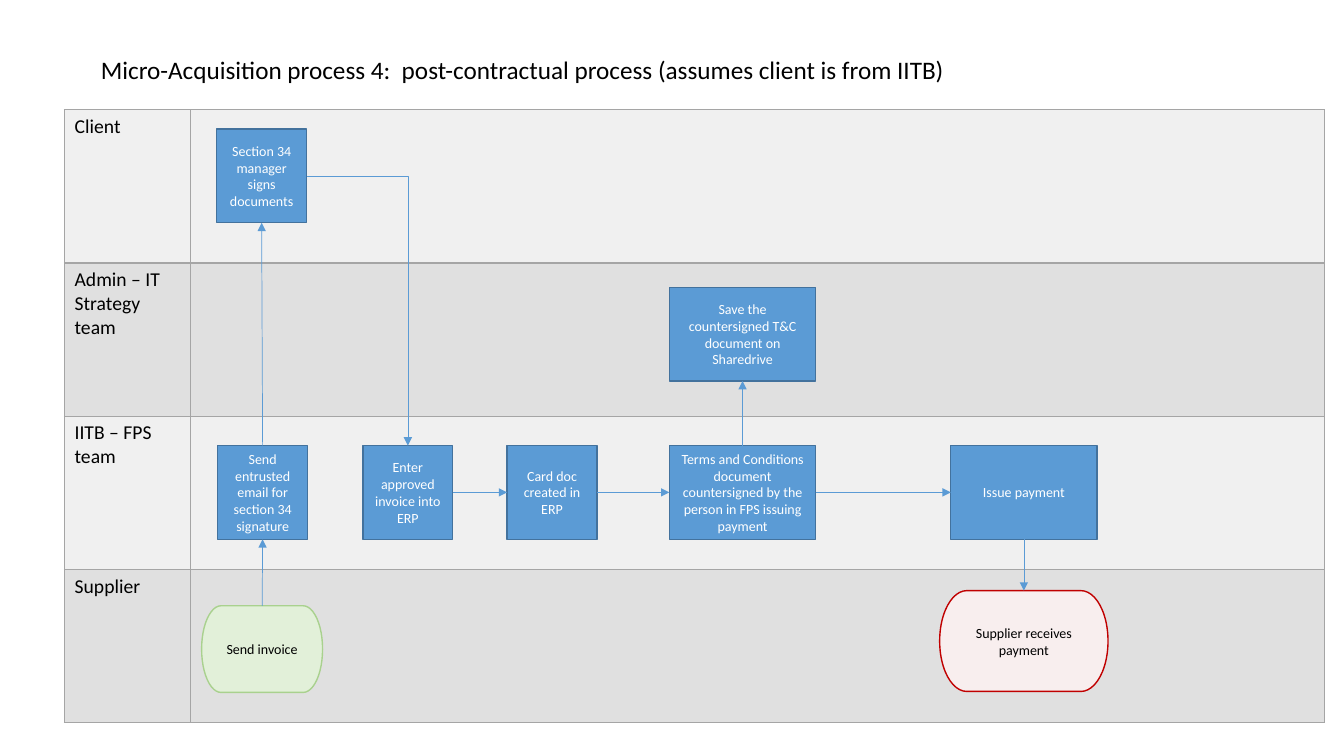
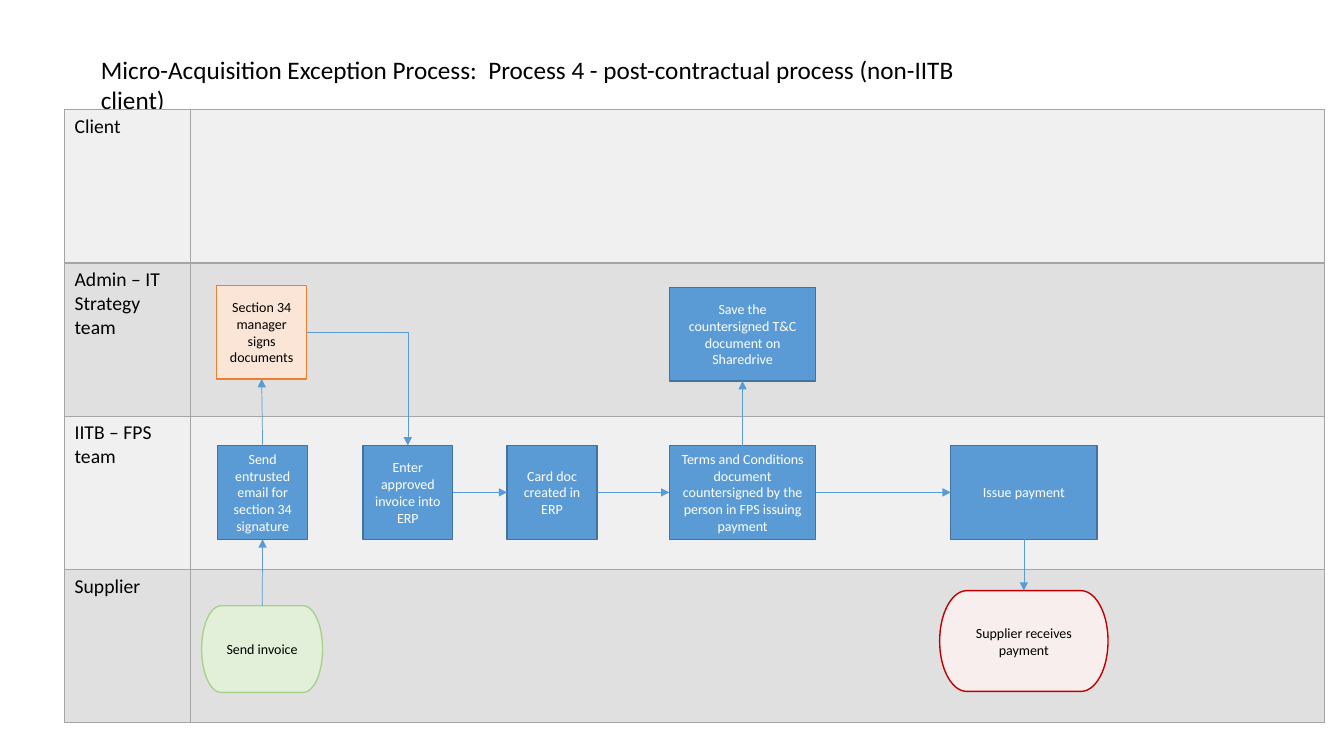
from dataclasses import dataclass

from lxml.etree import SubElement
from pptx import Presentation
from pptx.dml.color import RGBColor
from pptx.enum.shapes import MSO_CONNECTOR as Connector, MSO_SHAPE as Geometry
from pptx.enum.text import MSO_ANCHOR as Anchor, MSO_AUTO_SIZE as AutoSize, PP_ALIGN as Align
from pptx.oxml.ns import qn
from pptx.util import Inches, Pt

FONT = "Calibri"
BLACK, WHITE = "000000", "FFFFFF"
LANE_FILLS = ("F0F0F0", "E0E0E0")
BORDER, ARROW = "A5A5A5", "5B9BD5"
LANES = ("Client", "Admin – IT Strategy team", "IITB – FPS team", "Supplier")
LANE_HEIGHT = 1.52
LANE_COLUMNS = (1.25, 11.25)
STEP_HEIGHT, NARROW, WIDE = 0.93, 0.89, 1.45
TEAM_TOP = 4.42
TOP, LEFT, BOTTOM, RIGHT = range(4)


@dataclass(frozen=True)
class Style:
    fill: str
    line: str
    text: str
    geometry: Geometry = Geometry.RECTANGLE


@dataclass(frozen=True)
class Step:
    key: str
    text: str
    left: float
    top: float
    width: float
    style: Style
    height: float = STEP_HEIGHT


@dataclass(frozen=True)
class Link:
    start: str
    start_site: int
    end: str
    end_site: int
    bent: bool = False


@dataclass(frozen=True)
class Process:
    title: str
    sign_top: float
    sign_style: Style


TASK = Style("5B9BD5", "43729D", WHITE)
EXCEPTION = Style("FBE5D6", "ED7D31", BLACK)
START = Style("E2F0D9", "A9D18E", BLACK, Geometry.FLOWCHART_TERMINATOR)
END = Style("F8EEEE", "C00000", BLACK, Geometry.FLOWCHART_TERMINATOR)

COMMON_STEPS = (
    Step("invoice", "Send invoice", 2, 6.01, 1.2, START, 0.86),
    Step("email", "Send entrusted email for section 34 signature", 2.16, TEAM_TOP, NARROW, TASK),
    Step("enter", "Enter approved invoice into ERP", 3.6, TEAM_TOP, NARROW, TASK),
    Step("card", "Card doc created in ERP", 5.03, TEAM_TOP, NARROW, TASK),
    Step("terms", "Terms and Conditions document countersigned by the person in FPS issuing payment",
         6.64, TEAM_TOP, WIDE, TASK),
    Step("save", "Save the countersigned T&C document on Sharedrive", 6.64, 2.85, WIDE, TASK),
    Step("issue", "Issue payment", 9.43, TEAM_TOP, WIDE, TASK),
    Step("receive", "Supplier receives payment", 9.32, 5.86, 1.67, END, 1),
)

LINKS = (
    Link("invoice", TOP, "email", BOTTOM),
    Link("email", TOP, "sign", BOTTOM),
    Link("sign", RIGHT, "enter", TOP, bent=True),
    Link("enter", RIGHT, "card", LEFT),
    Link("card", RIGHT, "terms", LEFT),
    Link("terms", TOP, "save", BOTTOM),
    Link("terms", RIGHT, "issue", LEFT),
    Link("issue", BOTTOM, "receive", TOP),
)

PROCESSES = (
    Process("Micro-Acquisition process 4:  post-contractual process (assumes client is from IITB)",
            1.28, TASK),
    Process("Micro-Acquisition Exception Process:  Process 4 - post-contractual process (non-IITB client)",
            2.83, EXCEPTION),
)


def color(value: str) -> RGBColor:
    return RGBColor.from_string(value)


def format_text(frame, size: float, text_color: str, alignment: Align) -> None:
    for paragraph in frame.paragraphs:
        paragraph.alignment = alignment
        paragraph.line_spacing = 1.0
        paragraph.space_before = Pt(0)
        paragraph.font.name = FONT
        paragraph.font.size = Pt(size)
        paragraph.font.color.rgb = color(text_color)


def add_title(slide, text: str) -> None:
    title = slide.shapes.title
    title.left, title.top = Inches(0.9), Inches(0.49)
    title.width, title.height = Inches(9.2), Inches(0.4)
    frame = title.text_frame
    frame.text = text
    frame.word_wrap = True
    frame.auto_size = AutoSize.NONE
    frame.vertical_anchor = Anchor.TOP
    format_text(frame, 18, BLACK, Align.LEFT)


def add_borders(cell) -> None:
    properties = cell._tc.get_or_add_tcPr()
    for position, side in enumerate(("lnL", "lnR", "lnT", "lnB")):
        line = SubElement(properties, qn(f"a:{side}"), w=str(Pt(0.96)))
        fill = SubElement(line, qn("a:solidFill"))
        SubElement(fill, qn("a:srgbClr"), val=BORDER)
        properties.insert(position, line)


def add_lanes(slide) -> None:
    table = slide.shapes.add_table(
        len(LANES), len(LANE_COLUMNS), Inches(0.64), Inches(1.09),
        Inches(sum(LANE_COLUMNS)), Inches(LANE_HEIGHT * len(LANES))).table
    table.first_row = table.horz_banding = False
    for column, width in zip(table.columns, LANE_COLUMNS):
        column.width = Inches(width)
    for index, (row, name) in enumerate(zip(table.rows, LANES)):
        row.height = Inches(LANE_HEIGHT)
        row.cells[0].text = name
        for cell in row.cells:
            cell.fill.solid()
            cell.fill.fore_color.rgb = color(LANE_FILLS[index % 2])
            add_borders(cell)
            format_text(cell.text_frame, 14, BLACK, Align.LEFT)


def add_step(slide, step: Step):
    style = step.style
    shape = slide.shapes.add_shape(
        style.geometry, Inches(step.left), Inches(step.top), Inches(step.width), Inches(step.height))
    shape.shadow.inherit = False
    shape.fill.solid()
    shape.fill.fore_color.rgb = color(style.fill)
    shape.line.color.rgb = color(style.line)
    shape.line.width = Pt(1)
    frame = shape.text_frame
    frame.text = step.text
    frame.word_wrap = True
    frame.vertical_anchor = Anchor.MIDDLE
    format_text(frame, 10, style.text, Align.CENTER)
    return shape


def add_link(slide, link: Link, shapes: dict) -> None:
    kind = Connector.ELBOW if link.bent else Connector.STRAIGHT
    connector = slide.shapes.add_connector(kind, 0, 0, 0, 0)
    connector.begin_connect(shapes[link.start], link.start_site)
    connector.end_connect(shapes[link.end], link.end_site)
    connector.line.color.rgb = color(ARROW)
    connector.line.width = Pt(0.5)
    properties = connector._element.spPr
    if link.bent:
        properties.find(qn("a:prstGeom")).set("prst", "bentConnector2")
    SubElement(properties.find(qn("a:ln")), qn("a:tailEnd"), type="triangle")
    SubElement(properties, qn("a:effectLst"))


def add_process(presentation, process: Process) -> None:
    slide = presentation.slides.add_slide(presentation.slide_layouts.get_by_name("Title Only"))
    add_title(slide, process.title)
    add_lanes(slide)
    sign = Step("sign", "Section 34 manager signs documents",
                2.15, process.sign_top, NARROW, process.sign_style)
    shapes = {step.key: add_step(slide, step) for step in (sign, *COMMON_STEPS)}
    for link in LINKS:
        add_link(slide, link, shapes)


def main() -> None:
    presentation = Presentation()
    presentation.slide_width, presentation.slide_height = Inches(13.33), Inches(7.5)
    for process in PROCESSES:
        add_process(presentation, process)
    presentation.save("out.pptx")


if __name__ == "__main__":
    main()
